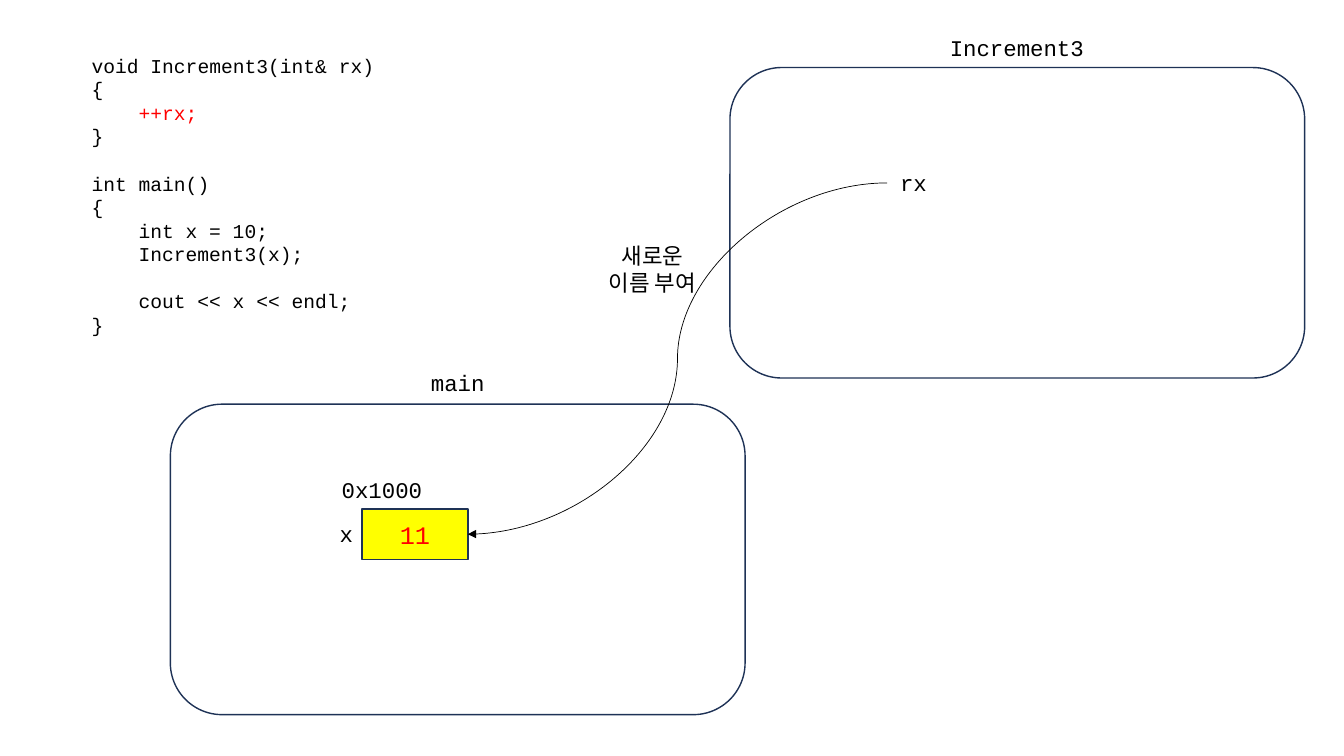
import pptx
import pptx.util
import pptx.dml.color
import pptx.enum.shapes
import pptx.enum.text
import pptx.oxml.ns
import lxml.etree

Inches, Pt = pptx.util.Inches, pptx.util.Pt
SHAPE = pptx.enum.shapes.MSO_SHAPE
ALIGN = pptx.enum.text.PP_ALIGN
ANCHOR = pptx.enum.text.MSO_ANCHOR
MONO, SANS = "Courier New", "Calibri"
BLACK, RED, YELLOW, WHITE, NAVY = "000000", "FF0000", "FFFF00", "FFFFFF", "1E3256"
LEADING = 1.2

# Content: code lines as (text, indent level, colour, blank lines above)
CODE = [
    ("void Increment3(int& rx)", 0, BLACK, 0),
    ("{", 0, BLACK, 0),
    ("++rx;", 1, RED, 0),
    ("}", 0, BLACK, 0),
    ("int main()", 0, BLACK, 1),
    ("{", 0, BLACK, 0),
    ("int x = 10;", 1, BLACK, 0),
    ("Increment3(x);", 1, BLACK, 0),
    ("cout << x << endl;", 1, BLACK, 1),
    ("}", 0, BLACK, 0),
]
CODE_SIZE = 14
CODE_INDENT = 4 * 0.6 * CODE_SIZE  # four monospaced characters

FRAME_SIZE = (5.7, 3.08)
MAIN_FRAME = (1.69, 4.01)
INCREMENT_FRAME = (7.24, 0.67)
VARIABLE_BOX = (3.59, 5.05, 1.05, 0.5)

# Labels: text, left, top, width, height, alignment, font
MAIN_LABELS = [
    ("0x1000", 3.29, 4.67, 1.12, 0.37, ALIGN.LEFT, MONO),
    ("x", 2.56, 5.11, 1.04, 0.37, ALIGN.RIGHT, MONO),
    ("main", 3.98, 3.61, 1.12, 0.37, ALIGN.CENTER, MONO),
]
INCREMENT_LABEL = ("Increment3", 9.09, 0.29, 1.99, 0.37, ALIGN.CENTER, MONO)
REFERENCE_LABEL = ("rx", 8.8, 1.63, 0.52, 0.37, ALIGN.CENTER, MONO)
NOTE_LABEL = ("새로운 이름 부여", 5.91, 2.35, 1.12, 0.91, ALIGN.CENTER, SANS)

prs = pptx.Presentation()
prs.slide_width, prs.slide_height = Inches(13.33), Inches(7.5)
s = prs.slides.add_slide(prs.slide_layouts[6])


def rgb(value):
    return pptx.dml.color.RGBColor.from_string(value)


def write(p, text, size=16, font=MONO, color=BLACK, align=ALIGN.LEFT, indent=0, before=0):
    p.alignment = align
    p.line_spacing = Pt(size * LEADING)
    p.space_before = Pt(before)
    if indent:
        p._p.get_or_add_pPr().set("marL", str(Pt(indent)))
    r = p.add_run()
    r.text = text
    r.font.name, r.font.size = font, Pt(size)
    r.font.color.rgb = rgb(color)


def add_box(kind, left, top, width, height, fill):
    sp = s.shapes.add_shape(kind, *map(Inches, (left, top, width, height)))
    sp.shadow.inherit = False
    sp.fill.solid()
    sp.fill.fore_color.rgb = rgb(fill)
    sp.line.color.rgb = rgb(NAVY)
    sp.line.width = Pt(1)
    return sp


def add_text(left, top, width, height):
    sp = s.shapes.add_textbox(*map(Inches, (left, top, width, height)))
    sp.text_frame.word_wrap = True
    return sp


def add_label(text, left, top, width, height, align, font):
    sp = add_text(left, top, width, height)
    write(sp.text_frame.paragraphs[0], text, font=font, align=align)
    return sp


# Frame of main
add_box(SHAPE.ROUNDED_RECTANGLE, *MAIN_FRAME, *FRAME_SIZE, WHITE)

# Code listing, starting one line below the top of its box
line_height = CODE_SIZE * LEADING
tf = add_text(0.81, 0.25, 6.67, 3.16).text_frame
tf.margin_top = Inches(0.05) + Pt(line_height)
for i, (text, level, color, blanks) in enumerate(CODE):
    p = tf.add_paragraph() if i else tf.paragraphs[0]
    write(p, text, size=CODE_SIZE, color=color,
          indent=level * CODE_INDENT, before=blanks * line_height)

# Variable x inside main
variable = add_box(SHAPE.RECTANGLE, *VARIABLE_BOX, YELLOW)
variable.text_frame.vertical_anchor = ANCHOR.MIDDLE
write(variable.text_frame.paragraphs[0], "11", size=18, color=RED, align=ALIGN.CENTER)
for label in MAIN_LABELS:
    add_label(*label)

# Frame of Increment3 with its reference
add_box(SHAPE.ROUNDED_RECTANGLE, *INCREMENT_FRAME, *FRAME_SIZE, WHITE)
add_label(*INCREMENT_LABEL)
reference = add_label(*REFERENCE_LABEL)

# Curved arrow from the left of rx to the right of x
arrow = s.shapes.add_connector(pptx.enum.shapes.MSO_CONNECTOR.CURVE, 0, 0, 0, 0)
arrow.begin_connect(reference, 1)
arrow.end_connect(variable, 3)
arrow.line.color.rgb = rgb(BLACK)
arrow.line.width = Pt(0.5)
qn = pptx.oxml.ns.qn
lxml.etree.SubElement(arrow.line._get_or_add_ln(), qn("a:tailEnd"), type="triangle")
lxml.etree.SubElement(arrow._element.spPr, qn("a:effectLst"))

add_label(*NOTE_LABEL)

prs.save("out.pptx")
